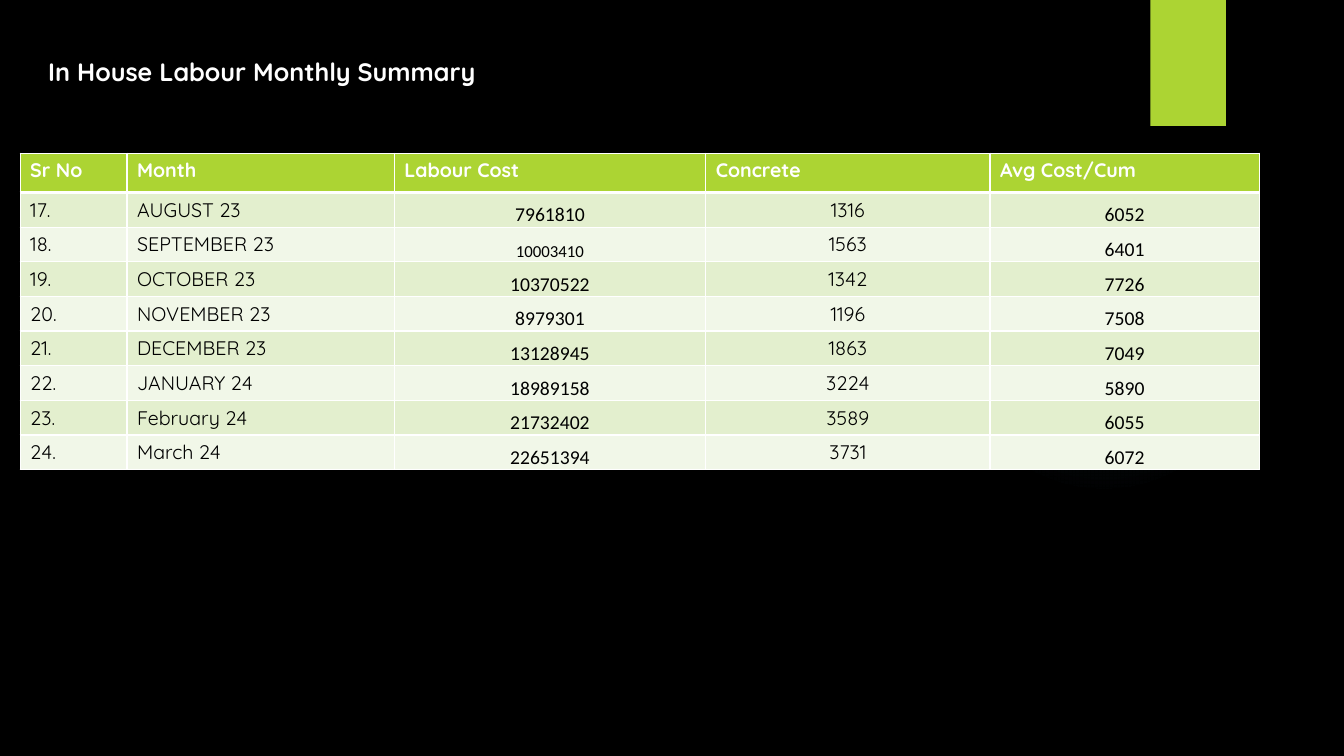
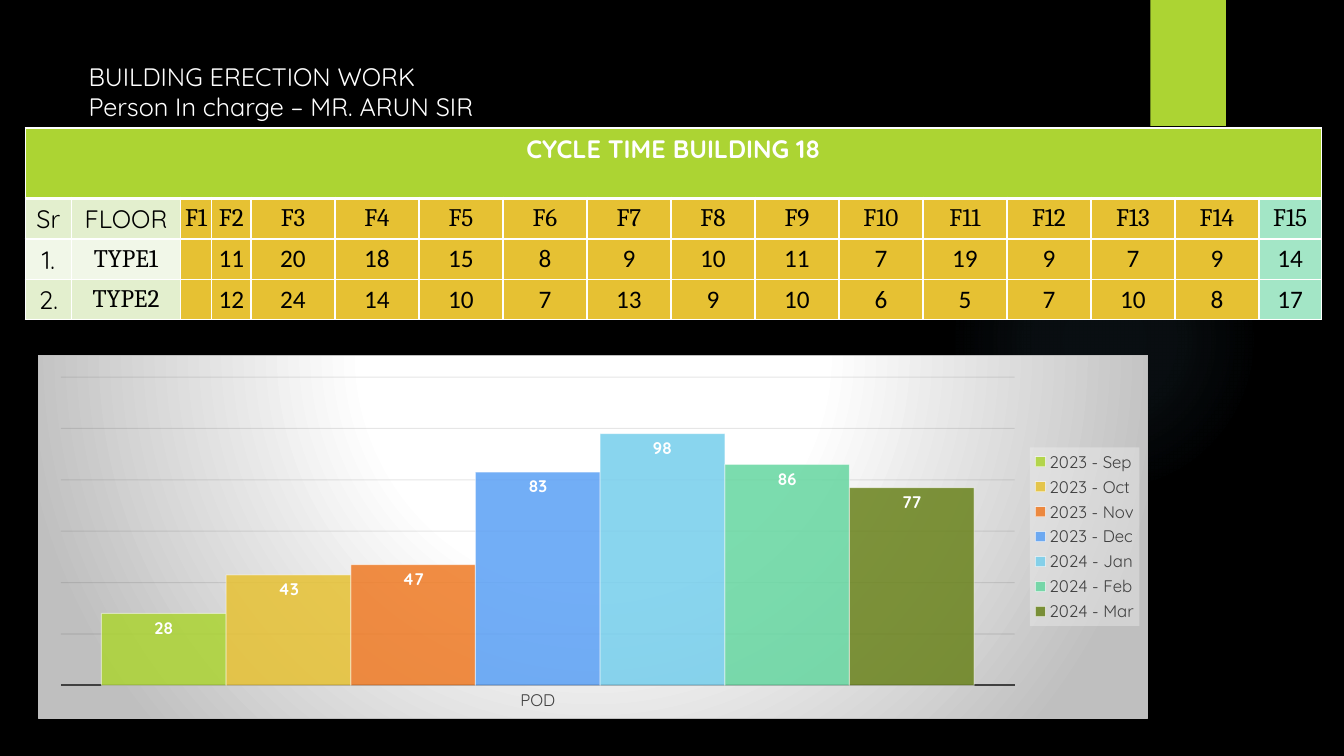
from lxml import etree
from pptx import Presentation
from pptx.chart.data import CategoryChartData
from pptx.dml.color import RGBColor
from pptx.enum.chart import XL_CHART_TYPE as ChartType, XL_LABEL_POSITION as LabelPos
from pptx.enum.chart import XL_LEGEND_POSITION as LegendPos, XL_TICK_MARK as Tick
from pptx.enum.chart import XL_TICK_LABEL_POSITION as TickLabel
from pptx.enum.shapes import MSO_SHAPE as Shape
from pptx.enum.text import MSO_ANCHOR as Anchor, PP_ALIGN as Align
from pptx.oxml import parse_xml
from pptx.oxml.ns import nsdecls, qn
from pptx.util import Inches, Pt

BLACK = RGBColor(0x00, 0x00, 0x00)
WHITE = RGBColor(0xFF, 0xFF, 0xFF)
LIME = RGBColor(0xAC, 0xD4, 0x33)
BAND_DARK = RGBColor(0xE3, 0xEF, 0xCE)
BAND_LIGHT = RGBColor(0xF1, 0xF7, 0xE8)
GOLD = RGBColor(0xE6, 0xC1, 0x33)
MINT = RGBColor(0xA3, 0xE6, 0xC6)
GLOW = RGBColor(0x7A, 0xC4, 0xF0)
INK = RGBColor(0x40, 0x40, 0x40)
GRID = RGBColor(0x0D, 0x0D, 0x0D)
SILVER = RGBColor(0xBF, 0xBF, 0xBF)
ORANGE = RGBColor(0xEF, 0x7A, 0x24)
BLUE = RGBColor(0x5A, 0xA0, 0xF5)
SKY = RGBColor(0x75, 0xCE, 0xEC)
GREEN = RGBColor(0x65, 0xD6, 0xA0)
OLIVE = RGBColor(0x69, 0x82, 0x1B)
HEAD, SERIF, FIGURES = "Quicksand", "Cambria", "Calibri"


def apply(target, values):
    for name, value in values.items():
        setattr(target, name, value)


def set_font(font, size, color, name=HEAD, bold=False):
    apply(font, {"size": Pt(size), "name": name, "bold": bold})
    font.color.rgb = color


def solid(fill, color, alpha=None):
    fill.solid()
    fill.fore_color.rgb = color
    if alpha is not None:
        rgb = fill._xPr.find(qn("a:solidFill"))[0]
        etree.SubElement(rgb, qn("a:alpha"), val=str(alpha * 1000))


def radial(stops, top, bottom):
    """Circular gradient; each stop is position, colour, opacity."""
    marks = "".join(
        f'<a:gs pos="{pos * 1000}"><a:srgbClr val="{color}">'
        f'<a:alpha val="{alpha * 1000}"/></a:srgbClr></a:gs>'
        for pos, color, alpha in stops)
    return (f'<a:gradFill {nsdecls("a")} rotWithShape="1"><a:gsLst>{marks}</a:gsLst>'
            f'<a:path path="circle"><a:fillToRect l="50000" t="{top * 1000}" '
            f'r="50000" b="{bottom * 1000}"/></a:path></a:gradFill>')


class Deck:
    def __init__(self):
        self.prs = Presentation()
        apply(self.prs, {"slide_width": Inches(13.33), "slide_height": Inches(7.5)})
        solid(self.prs.slide_master.background.fill, BLACK)
        self.slide = None

    def new_slide(self):
        self.slide = self.prs.slides.add_slide(self.prs.slide_layouts[6])
        glow = self.block(Shape.OVAL, 9.41, 1.83, 3.08, 3.08, GLOW)
        gradient = radial([(0, GLOW, 7), (36, GLOW, 6), (69, GLOW, 0)], 50, 50)
        flat = glow._element.spPr.find(qn("a:solidFill"))
        flat.getparent().replace(flat, parse_xml(gradient))
        self.block(Shape.RECTANGLE, 11.41, 0, 0.75, 1.25, LIME)

    def block(self, kind, left, top, width, height, color):
        shape = self.slide.shapes.add_shape(
            kind, Inches(left), Inches(top), Inches(width), Inches(height))
        shape.shadow.inherit = False
        solid(shape.fill, color)
        shape.line.fill.background()
        return shape

    def title(self, left, top, lines, bold=False):
        box = self.slide.shapes.add_textbox(
            Inches(left), Inches(top), Inches(6.67), Inches(0.71))
        frame = box.text_frame
        frame.word_wrap = True
        frame.text = "\n".join(lines)
        for paragraph in frame.paragraphs:
            set_font(paragraph.font, 18, WHITE, bold=bold)

    def table(self, left, top, widths, heights):
        table = self.slide.shapes.add_table(
            len(heights), len(widths), Inches(left), Inches(top),
            Inches(sum(widths)), Inches(sum(heights))).table
        for column, width in zip(table.columns, widths):
            column.width = Inches(width)
        for row, height in zip(table.rows, heights):
            row.height = Inches(height)
        return table

    def cell(self, table, row, col, text, fill, size, color=BLACK, font=HEAD,
             bold=False, align=Align.LEFT, anchor=Anchor.TOP, inset=None):
        cell = table.cell(row, col)
        cell.text = text
        cell.vertical_anchor = anchor
        if inset is not None:
            apply(cell, {f"margin_{side}": Inches(inset)
                         for side in ("left", "right", "top", "bottom")})
        solid(cell.fill, fill)
        paragraph = cell.text_frame.paragraphs[0]
        paragraph.alignment = align
        set_font(paragraph.font, size, color, font, bold)
        # White borders, heavier under the header row
        heavy = {0: "B", 1: "T"}.get(row)
        for index, side in enumerate("LRTB"):
            width = Pt(3 if side == heavy else 1)
            cell._tc.get_or_add_tcPr().insert(index, parse_xml(
                f'<a:ln{side} {nsdecls("a")} w="{width}"><a:solidFill>'
                f'<a:srgbClr val="{WHITE}"/></a:solidFill></a:ln{side}>'))

    def column_chart(self, left, top, width, height, category, bars, ceiling):
        data = CategoryChartData()
        data.categories = [category]
        for name, value, _ in bars:
            data.add_series(name, [value])
        chart = self.slide.shapes.add_chart(
            ChartType.COLUMN_CLUSTERED, Inches(left), Inches(top),
            Inches(width), Inches(height), data).chart
        chart.has_title = False
        set_font(chart.font, 12, INK)
        plot = chart.plots[0]
        apply(plot, {"gap_width": 65, "overlap": 0, "vary_by_categories": False})

        # Bars and their values
        for series, (_, _, color) in zip(plot.series, bars):
            solid(series.format.fill, color, 85)
            solid(series.format.line.fill, WHITE, 50)
            series.format.line.width = Pt(0.75)
            labels = series.data_labels
            apply(labels, {"show_value": True, "position": LabelPos.INSIDE_END})
            set_font(labels.font, 12, WHITE, bold=True)

        # Axes
        months = chart.category_axis
        apply(months, {"major_tick_mark": Tick.NONE, "minor_tick_mark": Tick.NONE})
        solid(months.format.line.fill, INK)
        months.format.line.width = Pt(1.5)
        set_font(months.tick_labels.font, 12, INK)
        counts = chart.value_axis
        apply(counts, {"minimum_scale": 0, "maximum_scale": ceiling, "major_unit": 20,
                       "has_major_gridlines": True, "visible": False,
                       "tick_label_position": TickLabel.NONE})
        grid = counts.major_gridlines.format.line
        solid(grid.fill, GRID, 10)
        grid.width = Pt(0.75)

        # Legend on a pale panel
        chart.has_legend = True
        legend = chart.legend
        apply(legend, {"position": LegendPos.RIGHT, "include_in_layout": False})
        set_font(legend.font, 12, INK)
        legend._element.find(qn("c:overlay")).addnext(parse_xml(
            f'<c:spPr {nsdecls("c", "a")}><a:solidFill><a:srgbClr val="F2F2F2">'
            '<a:alpha val="39000"/></a:srgbClr></a:solidFill></c:spPr>'))

        # Chart background and plot position
        backdrop = radial([(0, WHITE, 100), (39, WHITE, 100), (100, SILVER, 100)], -80, 180)
        root = chart._chartSpace
        root.find(qn("c:chart")).addnext(parse_xml(
            f'<c:spPr {nsdecls("c", "a")}>{backdrop}<a:ln w="{Pt(0.75)}"><a:solidFill>'
            f'<a:srgbClr val="{SILVER}"/></a:solidFill></a:ln></c:spPr>'))
        area = next(root.iter(qn("c:plotArea")))
        for layout in area.findall(qn("c:layout")):
            area.remove(layout)
        place = "".join(f'<c:{key} val="{value}"/>' for key, value in (
            ("layoutTarget", "inner"), ("xMode", "edge"), ("yMode", "edge"),
            ("x", 0.02), ("y", 0.06), ("w", 0.86), ("h", 0.85)))
        area.insert(0, parse_xml(f'<c:layout {nsdecls("c")}><c:manualLayout>{place}'
                                 '</c:manualLayout></c:layout>'))


def band(row):
    return BAND_DARK if row % 2 else BAND_LIGHT


def labour_summary(deck):
    deck.new_slide()
    headings = ["Sr No", "Month", "Labour Cost", "Concrete", "Avg Cost/Cum"]
    months = [
        ("AUGUST 23", "7961810", "1316", "6052"),
        ("SEPTEMBER 23", "10003410", "1563", "6401"),
        ("OCTOBER 23", "10370522", "1342", "7726"),
        ("NOVEMBER 23", "8979301", "1196", "7508"),
        ("DECEMBER 23", "13128945", "1863", "7049"),
        ("JANUARY 24", "18989158", "3224", "5890"),
        ("February 24", "21732402", "3589", "6055"),
        ("March 24", "22651394", "3731", "6072"),
    ]
    figure = {"font": FIGURES, "align": Align.CENTER, "anchor": Anchor.BOTTOM, "inset": 0}
    volume = {"align": Align.CENTER, "anchor": Anchor.MIDDLE, "inset": 0}
    styles = [{}, {}, figure, volume, figure]
    table = deck.table(0.2, 1.52, [1.06, 2.65, 3.09, 2.82, 2.67],
                       [0.39] + [0.34] * len(months))
    for col, heading in enumerate(headings):
        deck.cell(table, 0, col, heading, LIME, 14, WHITE, bold=True)
    for row, month in enumerate(months, 1):
        for col, text in enumerate((f"{row + 16}.", *month)):
            size = 12 if text == "10003410" else 14
            deck.cell(table, row, col, text, band(row), size, **styles[col])
    deck.title(0.38, 0.51, ["In House Labour Monthly Summary"], bold=True)


def building_erection(deck):
    deck.new_slide()
    deck.title(0.78, 0.56, ["BUILDING ERECTION WORK", "Person In charge – MR. ARUN SIR"])

    # Cycle time per floor
    floors = [f"F{number}" for number in range(1, 16)]
    rows = [
        ["Sr", "FLOOR", *floors],
        ["1.", "TYPE1", "", *"11 20 18 15 8 9 10 11 7 19 9 7 9 14".split()],
        ["2.", "TYPE2", "", *"12 24 14 10 7 13 9 10 6 5 7 10 8 17".split()],
    ]
    widths = [0.46, 1.08, 0.31, 0.39] + [10 / 12] * 12 + [0.62]
    last = len(widths) - 1
    table = deck.table(0.25, 1.27, widths, [0.7, 0.4, 0.4, 0.4])
    for col in range(len(widths)):
        deck.cell(table, 0, col, "" if col else "CYCLE TIME BUILDING 18", LIME, 18,
                  WHITE, bold=True, align=Align.CENTER)
    table.cell(0, 0).merge(table.cell(0, last))
    for row, texts in enumerate(rows, 1):
        for col, text in enumerate(texts):
            plain = col == 0 or text == "FLOOR"
            font = HEAD if plain else SERIF if row == 1 or col == 1 else FIGURES
            fill = band(row) if col < 2 else MINT if col == last else GOLD
            deck.cell(table, row, col, text, fill, 18, font=font, align=Align.CENTER,
                      anchor=Anchor.MIDDLE, inset=None if plain else 0.01)

    # Monthly totals
    deck.column_chart(0.38, 3.52, 11.01, 3.61, "POD", [
        ("2023 - Sep", 28, LIME), ("2023 - Oct", 43, GOLD), ("2023 - Nov", 47, ORANGE),
        ("2023 - Dec", 83, BLUE), ("2024 - Jan", 98, SKY), ("2024 - Feb", 86, GREEN),
        ("2024 - Mar", 77, OLIVE)], 120)


def main():
    deck = Deck()
    labour_summary(deck)
    building_erection(deck)
    deck.prs.save("out.pptx")


if __name__ == "__main__":
    main()
